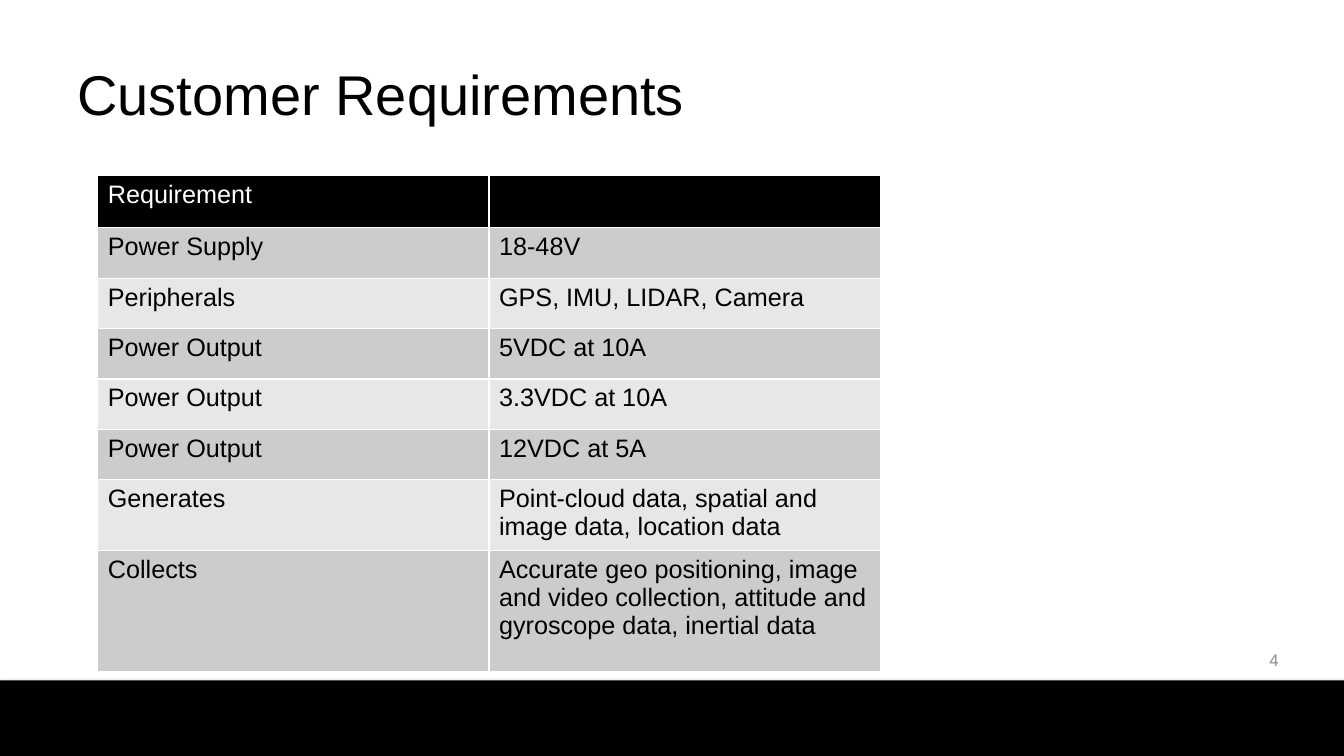
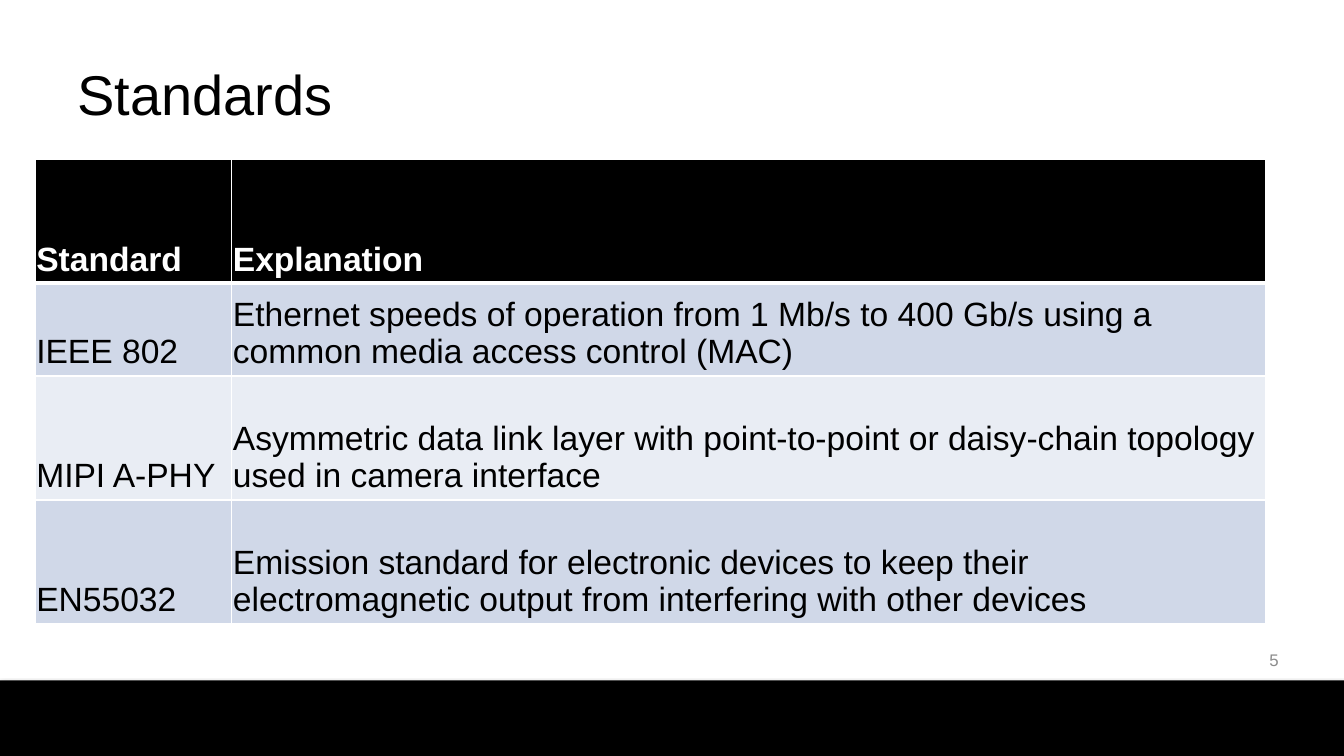
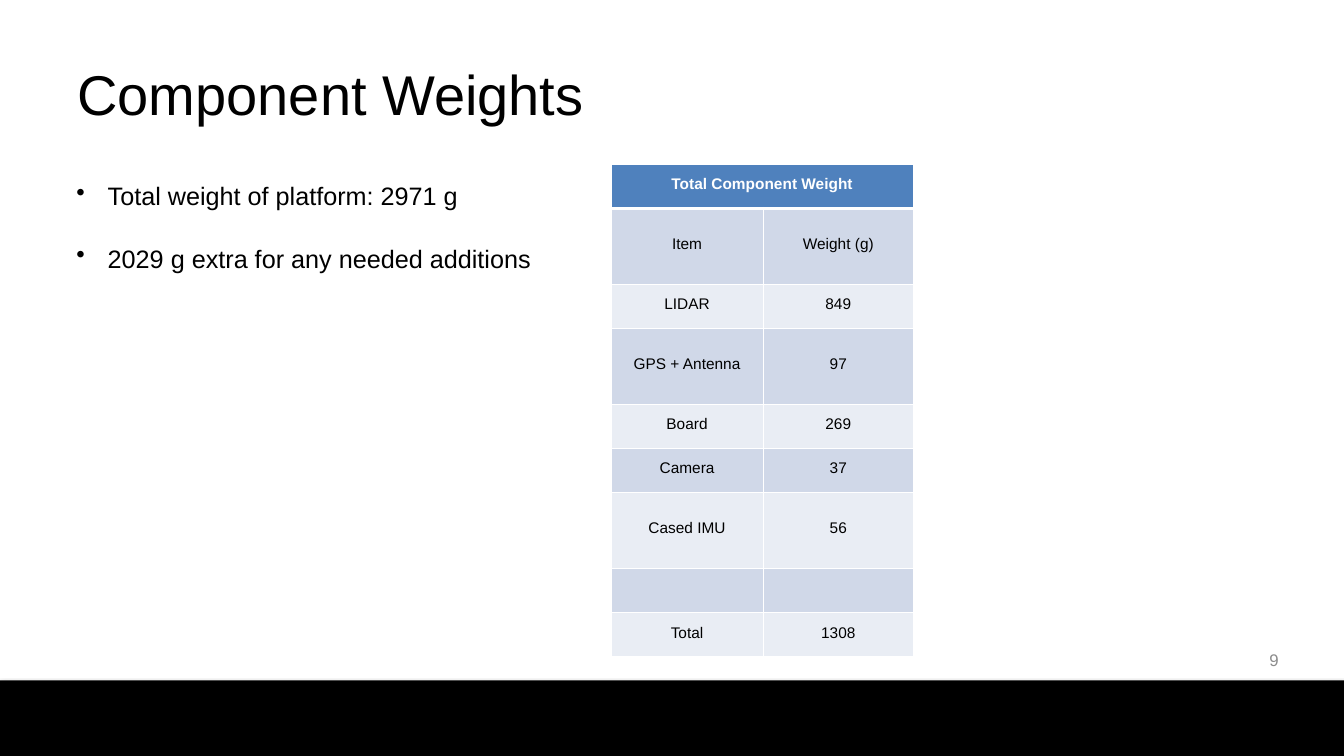
from dataclasses import dataclass

from lxml import etree
from pptx import Presentation
from pptx.dml.color import RGBColor
from pptx.enum.shapes import MSO_SHAPE
from pptx.enum.text import MSO_ANCHOR, PP_ALIGN
from pptx.oxml import parse_xml
from pptx.oxml.ns import qn
from pptx.util import Inches, Pt

RECT = MSO_SHAPE.RECTANGLE
TOP, MIDDLE, BOTTOM = MSO_ANCHOR.TOP, MSO_ANCHOR.MIDDLE, MSO_ANCHOR.BOTTOM
LEFT, CENTER, RIGHT = PP_ALIGN.LEFT, PP_ALIGN.CENTER, PP_ALIGN.RIGHT

BLACK = RGBColor(0x00, 0x00, 0x00)
WHITE = RGBColor(0xFF, 0xFF, 0xFF)
NUMBER_GRAY = RGBColor(0x8C, 0x8C, 0x8C)
GRAY = RGBColor(0xCC, 0xCC, 0xCC)
LIGHT_GRAY = RGBColor(0xE7, 0xE7, 0xE7)
BLUE = RGBColor(0x4F, 0x81, 0xBD)
PALE_BLUE = RGBColor(0xD0, 0xD8, 0xE8)
LIGHT_BLUE = RGBColor(0xE9, 0xED, 0xF4)

FONT = "Arial"
WIDTH, HEIGHT = 13.33, 7.5
BAND_HEIGHT = 0.75
BULLET_INDENT = Inches(0.31)
NS = "http://schemas.openxmlformats.org/drawingml/2006/main"
BAND_SHADOW = (
    f'<a:outerShdw xmlns:a="{NS}" blurRad="{Pt(3.1)}" dist="{Pt(1.8)}" dir="5400000" rotWithShape="0">'
    '<a:srgbClr val="000000"><a:alpha val="35000"/></a:srgbClr></a:outerShdw>'
)


@dataclass(frozen=True)
class TableStyle:
    size: float
    header_fill: RGBColor
    bands: tuple[RGBColor, RGBColor]
    header_bold: bool = True
    header_line: float = 3
    anchor: MSO_ANCHOR = TOP
    align: PP_ALIGN = LEFT
    margins: tuple[float, float, float, float] = (0.01, 0.01, 0.01, 0.05)


@dataclass(frozen=True)
class TableSpec:
    left: float
    top: float
    cols: tuple[float, ...]
    heights: tuple[float, ...]
    rows: tuple[tuple[str, ...], ...]
    style: TableStyle


@dataclass(frozen=True)
class SlideSpec:
    title: str
    number: int
    table: TableSpec
    bullets: tuple[str, ...] = ()


REQUIREMENTS = TableSpec(
    0.97, 1.74, (3.88, 3.88), (0.52,) + (0.5,) * 6 + (1.2,),
    (
        ("Requirement", ""),
        ("Power Supply", "18-48V"),
        ("Peripherals", "GPS, IMU, LIDAR, Camera"),
        ("Power Output", "5VDC at 10A"),
        ("Power Output", "3.3VDC at 10A"),
        ("Power Output", "12VDC at 5A"),
        ("Generates", "Point-cloud data, spatial and image data, location data"),
        ("Collects", "Accurate geo positioning, image and video collection, "
                     "attitude and gyroscope data, inertial data"),
    ),
    TableStyle(18, BLACK, (GRAY, LIGHT_GRAY), header_bold=False, header_line=1,
               margins=(0.1, 0.05, 0.1, 0.05)),
)
STANDARDS = TableSpec(
    0.35, 1.58, (1.95, 10.25), (1.23, 0.92, 1.23, 1.23),
    (
        ("Standard", "Explanation"),
        ("IEEE 802", "Ethernet speeds of operation from 1 Mb/s to 400 Gb/s using a "
                     "common media access control (MAC)"),
        ("MIPI A-PHY", "Asymmetric data link layer with point-to-point or daisy-chain "
                       "topology used in camera interface"),
        ("EN55032", "Emission standard for electronic devices to keep their "
                    "electromagnetic output from interfering with other devices"),
    ),
    TableStyle(24, BLACK, (PALE_BLUE, LIGHT_BLUE), anchor=BOTTOM),
)
WEIGHTS = TableSpec(
    6.06, 1.63, (1.51, 1.49), (0.44, 0.75, 0.44, 0.75, 0.44, 0.44, 0.75, 0.44, 0.44),
    (
        ("Total Component Weight",),
        ("Item", "Weight (g)"),
        ("LIDAR", "849"),
        ("GPS + Antenna", "97"),
        ("Board", "269"),
        ("Camera", "37"),
        ("Cased IMU", "56"),
        ("", ""),
        ("Total", "1308"),
    ),
    TableStyle(11, BLUE, (PALE_BLUE, LIGHT_BLUE), anchor=MIDDLE, align=CENTER),
)
SLIDES = (
    SlideSpec("Customer Requirements", 4, REQUIREMENTS),
    SlideSpec("Standards", 5, STANDARDS),
    SlideSpec("Component Weights", 9, WEIGHTS,
              ("Total weight of platform: 2971 g", "2029 g extra for any needed additions")),
)


def write(tf, *lines: str, size: float, color: RGBColor = BLACK, bold: bool = False,
          align: PP_ALIGN = LEFT, bullet: bool = False, gap: float = 0) -> None:
    tf.word_wrap = True
    for i, line in enumerate(lines):
        p = tf.add_paragraph() if i else tf.paragraphs[0]
        p.alignment = align
        if i:
            p.space_before = Pt(gap)
        if bullet:
            pPr = p._p.get_or_add_pPr()
            pPr.set("marL", str(BULLET_INDENT))
            pPr.set("indent", str(-BULLET_INDENT))
            etree.SubElement(pPr, qn("a:buChar")).set("char", "•")
        r = p.add_run()
        r.text = line
        r.font.name, r.font.size, r.font.bold = FONT, Pt(size), bold
        r.font.color.rgb = color


def add_text(s, box: tuple[float, float, float, float], *lines: str,
             anchor: MSO_ANCHOR = MIDDLE, margin_top: float = 0.05, **fmt) -> None:
    tf = s.shapes.add_textbox(*map(Inches, box)).text_frame
    tf.vertical_anchor = anchor
    tf.margin_top = Inches(margin_top)
    write(tf, *lines, **fmt)


def set_borders(cell, top: float, bottom: float) -> None:
    tcPr = cell._tc.get_or_add_tcPr()
    for side, width in (("L", 1), ("R", 1), ("T", top), ("B", bottom)):
        tcPr.append(parse_xml(
            f'<a:ln{side} xmlns:a="{NS}" w="{Pt(width)}"><a:solidFill>'
            f'<a:srgbClr val="{WHITE}"/></a:solidFill></a:ln{side}>'))


def add_table(s, spec: TableSpec) -> None:
    style = spec.style
    table = s.shapes.add_table(
        len(spec.rows), len(spec.cols), Inches(spec.left), Inches(spec.top),
        Inches(sum(spec.cols)), Inches(sum(spec.heights))).table
    for col, width in zip(table.columns, spec.cols):
        col.width = Inches(width)
    for i, (row, height, texts) in enumerate(zip(table.rows, spec.heights, spec.rows)):
        row.height = Inches(height)
        header = i == 0
        for cell in row.cells:
            set_borders(cell, style.header_line if i == 1 else 1,
                        style.header_line if header else 1)
            cell.fill.solid()
            cell.fill.fore_color.rgb = style.header_fill if header else style.bands[(i - 1) % 2]
            cell.vertical_anchor = style.anchor
            (cell.margin_left, cell.margin_top,
             cell.margin_right, cell.margin_bottom) = map(Inches, style.margins)
        if len(texts) < len(spec.cols):
            table.cell(i, 0).merge(table.cell(i, len(spec.cols) - 1))
        for cell, text in zip(row.cells, texts):
            if text:
                write(cell.text_frame, text, size=style.size, align=style.align,
                      color=WHITE if header else BLACK, bold=header and style.header_bold)


def add_frame(s, title: str, number: int) -> None:
    band = s.shapes.add_shape(RECT, 0, Inches(HEIGHT - BAND_HEIGHT),
                              Inches(WIDTH), Inches(BAND_HEIGHT))
    band.fill.solid()
    band.fill.fore_color.rgb = BLACK
    band.line.fill.background()
    band.shadow.inherit = False
    band._element.spPr.find(qn("a:effectLst")).append(parse_xml(BAND_SHADOW))
    add_text(s, (0.67, 0.3, 12, 1.25), title, size=40)
    add_text(s, (9.67, 6.35, 3.11, 0.4), str(number), size=12, color=NUMBER_GRAY, align=RIGHT)


def main() -> None:
    prs = Presentation()
    prs.slide_width, prs.slide_height = Inches(WIDTH), Inches(HEIGHT)
    for spec in SLIDES:
        s = prs.slides.add_slide(prs.slide_layouts[6])
        add_frame(s, spec.title, spec.number)
        add_table(s, spec.table)
        if spec.bullets:
            add_text(s, (0.66, 1.7, 4.95, 1.01), *spec.bullets, size=18, bullet=True,
                     gap=23, anchor=TOP, margin_top=0.09)
    prs.save("out.pptx")


if __name__ == "__main__":
    main()
